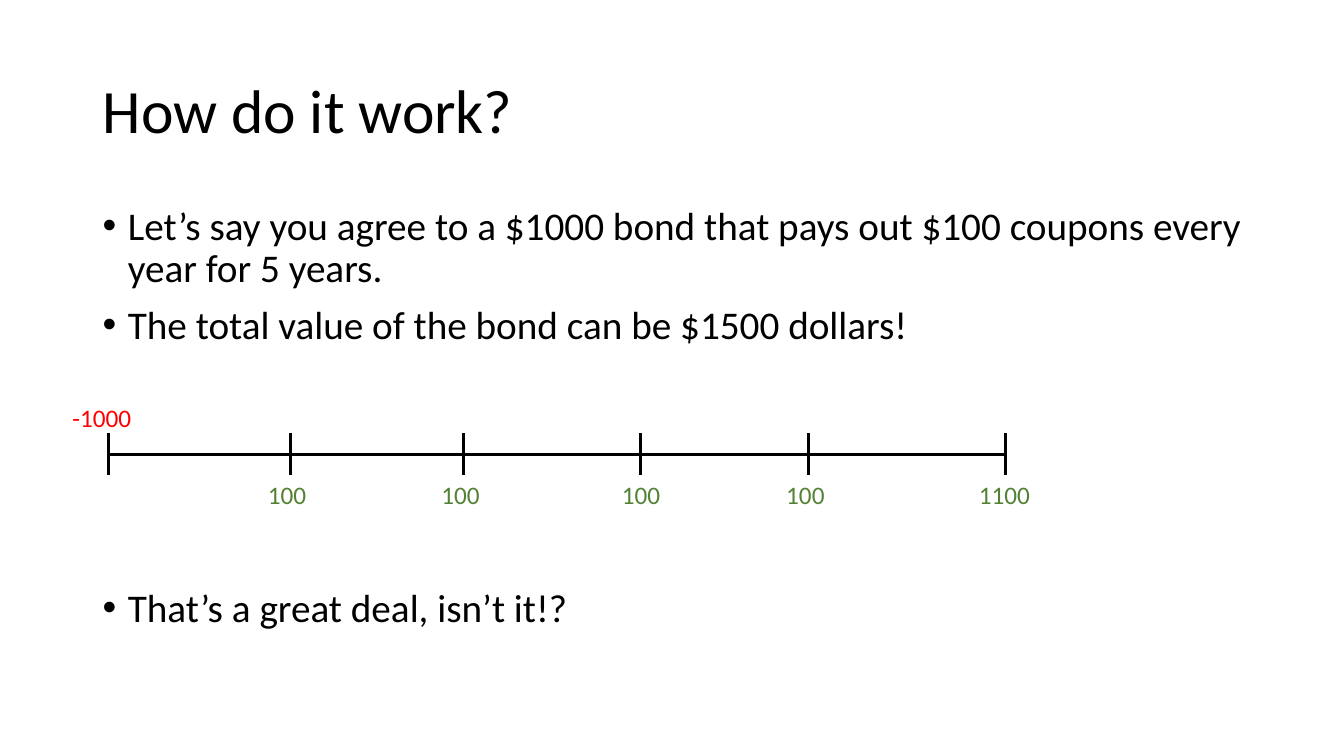
"""Build a slide that shows the cash flows of a five-year bond."""
from dataclasses import dataclass

from lxml.etree import SubElement
from pptx import Presentation
from pptx.dml.color import RGBColor
from pptx.enum.shapes import MSO_CONNECTOR
from pptx.enum.text import MSO_ANCHOR, MSO_AUTO_SIZE
from pptx.oxml.ns import qn
from pptx.shapes.autoshape import Shape
from pptx.slide import Slide
from pptx.text.text import _Paragraph as Paragraph
from pptx.util import Emu, Pt


@dataclass(frozen=True)
class Theme:
    """Colours, font and type sizes of the slide."""
    font: str = "Calibri"
    ink: RGBColor = RGBColor(0, 0, 0)
    paid: RGBColor = RGBColor(255, 0, 0)
    received: RGBColor = RGBColor(0x54, 0x82, 0x35)
    title_size: int = 44
    body_size: int = 28
    label_size: int = 18
    line_width: float = 2.25


@dataclass(frozen=True)
class Box:
    """A rectangle in px."""
    left: int
    top: int
    width: int
    height: int


@dataclass(frozen=True)
class CashFlow:
    """A tick on the timeline with its labelled amount."""
    tick: int
    amount: str
    label: Box
    color: RGBColor


@dataclass(frozen=True)
class Bullet:
    """A bullet point and the space before it in points."""
    text: str
    space_before: int = 10


THEME = Theme()
AXIS_Y, TICK_TOP, TICK_BOTTOM = 451, 430, 471
TITLE_BOX = Box(92, 40, 1150, 145)
BODY_BOX = Box(92, 200, 1150, 476)
CASH_FLOWS = [
    CashFlow(108, "-1000", Box(62, 394, 100, 40), THEME.paid),
    *(CashFlow(tick, "100", Box(left, TICK_BOTTOM, 64, 40), THEME.received)
      for tick, left in ((288, 256), (460, 428), (635, 607), (802, 770))),
    CashFlow(997, "1100", Box(961, TICK_BOTTOM, 84, 40), THEME.received),
]
BULLETS = [
    Bullet("Let’s say you agree to a $1000 bond that pays out $100 coupons every year for 5 years."),
    Bullet("The total value of the bond can be $1500 dollars!"),
    Bullet("That’s a great deal, isn’t it!?", 172),
]


def px(length: int) -> Emu:
    """Turn px into EMU at 100 px to the inch."""
    return Emu(length * 9144)


def add_box(page: Slide, box: Box) -> Shape:
    """Add a wrapping text box."""
    shape = page.shapes.add_textbox(px(box.left), px(box.top), px(box.width), px(box.height))
    shape.text_frame.word_wrap = True
    return shape


def write(para: Paragraph, text: str, size: int, color: RGBColor = THEME.ink) -> None:
    """Write text into a paragraph and format its runs."""
    para.text = text
    for span in para.runs:
        span.font.name = THEME.font
        span.font.size = Pt(size)
        span.font.color.rgb = color


def add_title(page: Slide, text: str) -> None:
    """Add the slide title."""
    frame = add_box(page, TITLE_BOX).text_frame
    frame.vertical_anchor = MSO_ANCHOR.MIDDLE
    write(frame.paragraphs[0], text, THEME.title_size)
    frame.paragraphs[0].line_spacing = 0.9


def add_line(page: Slide, left: int, top: int, right: int, bottom: int) -> None:
    """Add a straight line without a shadow."""
    line = page.shapes.add_connector(
        MSO_CONNECTOR.STRAIGHT, px(left), px(top), px(right), px(bottom))
    line.line.color.rgb = THEME.ink
    line.line.width = Pt(THEME.line_width)
    SubElement(line._element.spPr, qn("a:effectLst"))


def add_timeline(page: Slide, flows: list[CashFlow]) -> None:
    """Add the axis with a tick and a label for each cash flow."""
    add_line(page, flows[0].tick, AXIS_Y, flows[-1].tick, AXIS_Y)
    for flow in flows:
        add_line(page, flow.tick, TICK_TOP, flow.tick, TICK_BOTTOM)
        frame = add_box(page, flow.label).text_frame
        frame.auto_size = MSO_AUTO_SIZE.SHAPE_TO_FIT_TEXT
        write(frame.paragraphs[0], flow.amount, THEME.label_size, flow.color)


def add_bullets(page: Slide, bullets: list[Bullet]) -> None:
    """Add the bulleted body text."""
    frame = add_box(page, BODY_BOX).text_frame
    for index, bullet in enumerate(bullets):
        para = frame.add_paragraph() if index else frame.paragraphs[0]
        write(para, bullet.text, THEME.body_size)
        para.line_spacing = 0.9
        para.space_before = Pt(bullet.space_before)
        properties = para._p.get_or_add_pPr()
        properties.set("marL", str(px(25)))
        properties.set("indent", str(px(-25)))
        SubElement(properties, qn("a:buFont"), typeface="Arial")
        SubElement(properties, qn("a:buChar"), char="•")


def main() -> None:
    """Build and save the deck."""
    deck = Presentation()
    deck.slide_width, deck.slide_height = px(1333), px(750)
    page = deck.slides.add_slide(deck.slide_layouts[6])
    add_title(page, "How do it work?")
    add_timeline(page, CASH_FLOWS)
    add_bullets(page, BULLETS)
    deck.save("out.pptx")


if __name__ == "__main__":
    main()
